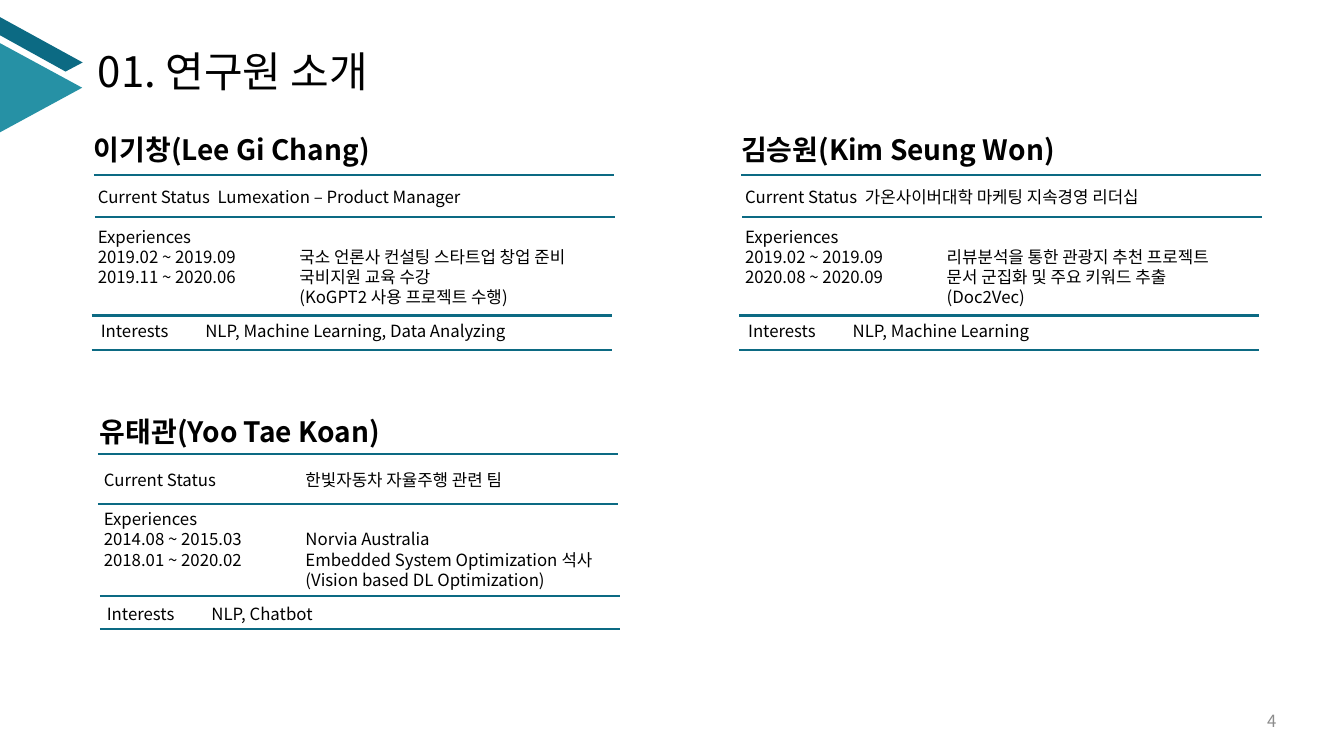
from pptx import Presentation
from pptx.dml.color import RGBColor
from pptx.enum.shapes import MSO_CONNECTOR, MSO_SHAPE
from pptx.enum.text import MSO_ANCHOR, PP_ALIGN
from pptx.oxml.ns import qn
from pptx.util import Inches, Pt
from lxml.etree import SubElement

FONT = "Noto Sans CJK KR"
COLORS = {"text": "000000", "number": "8C8C8C", "dark": "0C6A83", "light": "2691A5"}

TITLE = "01. 연구원 소개"
PAGE_NUMBER = "4"
RULE_LENGTH = 5.16
TEXT_WIDTH = 5.4
TAB_STOPS = (1, 2)
TEXT_INDENTS = {"name": 0, "status": 0.04, "experiences": 0.04, "interests": 0.07}

UPPER_ROW = {
    "tops": {"name": 1.27, "status": 1.8, "experiences": 2.2, "interests": 3.13},
    "rules": [(0, 1.74), (0.01, 2.15), (-0.02, 3.13), (-0.02, 3.47)],
}
LOWER_ROW = {
    "tops": {"name": 4.06, "status": 4.61, "experiences": 5, "interests": 5.94},
    "rules": [(-0.02, 4.5), (-0.02, 5), (0, 5.91), (0, 6.24)],
}
RESEARCHERS = [
    (0.93, UPPER_ROW, {
        "name": ["이기창(Lee Gi Chang)"],
        "status": ["Current Status  Lumexation – Product Manager"],
        "experiences": [
            "Experiences",
            "2019.02 ~ 2019.09 \t국소 언론사 컨설팅 스타트업 창업 준비",
            "2019.11 ~ 2020.06 \t국비지원 교육 수강",
            "\t\t(KoGPT2 사용 프로젝트 수행)",
        ],
        "interests": ["Interests\t NLP, Machine Learning, Data Analyzing"],
    }),
    (7.35, UPPER_ROW, {
        "name": ["김승원(Kim Seung Won)"],
        "status": ["Current Status  가온사이버대학 마케팅 지속경영 리더십"],
        "experiences": [
            "Experiences",
            "2019.02 ~ 2019.09 \t리뷰분석을 통한 관광지 추천 프로젝트",
            "2020.08 ~ 2020.09 \t문서 군집화 및 주요 키워드 추출",
            "\t\t(Doc2Vec)",
        ],
        "interests": ["Interests\t NLP, Machine Learning"],
    }),
    (0.99, LOWER_ROW, {
        "name": ["유태관(Yoo Tae Koan)"],
        "status": ["Current Status\t한빛자동차 자율주행 관련 팀"],
        "experiences": [
            "Experiences",
            "2014.08 ~ 2015.03 \tNorvia Australia",
            "2018.01 ~ 2020.02 \tEmbedded System Optimization 석사",
            "\t\t(Vision based DL Optimization)",
        ],
        "interests": ["Interests\t NLP, Chatbot"],
    }),
]


def color(key):
    return RGBColor.from_string(COLORS[key])


def set_tab_stops(paragraph):
    stops = SubElement(paragraph._p.get_or_add_pPr(), qn("a:tabLst"))
    for position in TAB_STOPS:
        SubElement(stops, qn("a:tab"), pos=str(Inches(position)), algn="l")


def write(box, lines, size=12, bold=False, ink="text", align=PP_ALIGN.LEFT,
          anchor=MSO_ANCHOR.TOP):
    frame = box.text_frame
    frame.word_wrap = True
    frame.vertical_anchor = anchor
    frame.margin_left = frame.margin_right = 0
    frame.margin_top = frame.margin_bottom = Inches(0.05)
    for index, line in enumerate(lines):
        paragraph = frame.add_paragraph() if index else frame.paragraphs[0]
        paragraph.alignment = align
        if "\t" in line:
            set_tab_stops(paragraph)
        run = paragraph.add_run()
        run.text = line
        run.font.size = Pt(size)
        run.font.bold = bold
        run.font.name = FONT
        run.font.color.rgb = color(ink)
        SubElement(run.font._element, qn("a:ea"), typeface=FONT)


def add_text(left, top, width, height, lines, **style):
    box = slide.shapes.add_textbox(*map(Inches, (left, top, width, height)))
    write(box, lines, **style)


def add_rule(left, top):
    rule = slide.shapes.add_connector(
        MSO_CONNECTOR.STRAIGHT, Inches(left), Inches(top),
        Inches(left + RULE_LENGTH), Inches(top))
    rule.line.color.rgb = color("dark")
    rule.line.width = Pt(1.5)
    SubElement(rule._element.spPr, qn("a:effectLst"))


def paint(shape, key):
    shape.shadow.inherit = False
    shape.fill.solid()
    shape.fill.fore_color.rgb = color(key)
    shape.line.fill.background()


prs = Presentation()
prs.slide_width, prs.slide_height = Inches(13.33), Inches(7.5)
slide = prs.slides.add_slide(prs.slide_layouts[5])

title = slide.shapes.title
title.left, title.top, title.width, title.height = map(Inches, (0.97, 0.4, 4.24, 0.61))
write(title, [TITLE], size=30)

outline = slide.shapes.build_freeform(0, Inches(0.17), scale=1.0)
outline.add_line_segments(
    [(Inches(x), Inches(y)) for x, y in [(0.82, 0.62), (0.65, 0.71), (0, 0.35)]])
paint(outline.convert_to_shape(), "dark")

arrow = slide.shapes.add_shape(
    MSO_SHAPE.ISOSCELES_TRIANGLE, *map(Inches, (-0.04, 0.46, 0.89, 0.82)))
arrow.rotation = 90
paint(arrow, "light")

for left, row, profile in RESEARCHERS:
    for part, lines in profile.items():
        is_name = part == "name"
        add_text(left + TEXT_INDENTS[part], row["tops"][part], TEXT_WIDTH,
                 0.1 + (0.34 if is_name else 0.2) * len(lines), lines,
                 size=20 if is_name else 12, bold=is_name)
    for shift, top in row["rules"]:
        add_rule(left + shift, top)

add_text(9.76, 6.95, 2.9, 0.4, [PAGE_NUMBER], ink="number",
         align=PP_ALIGN.RIGHT, anchor=MSO_ANCHOR.MIDDLE)

prs.save("out.pptx")
